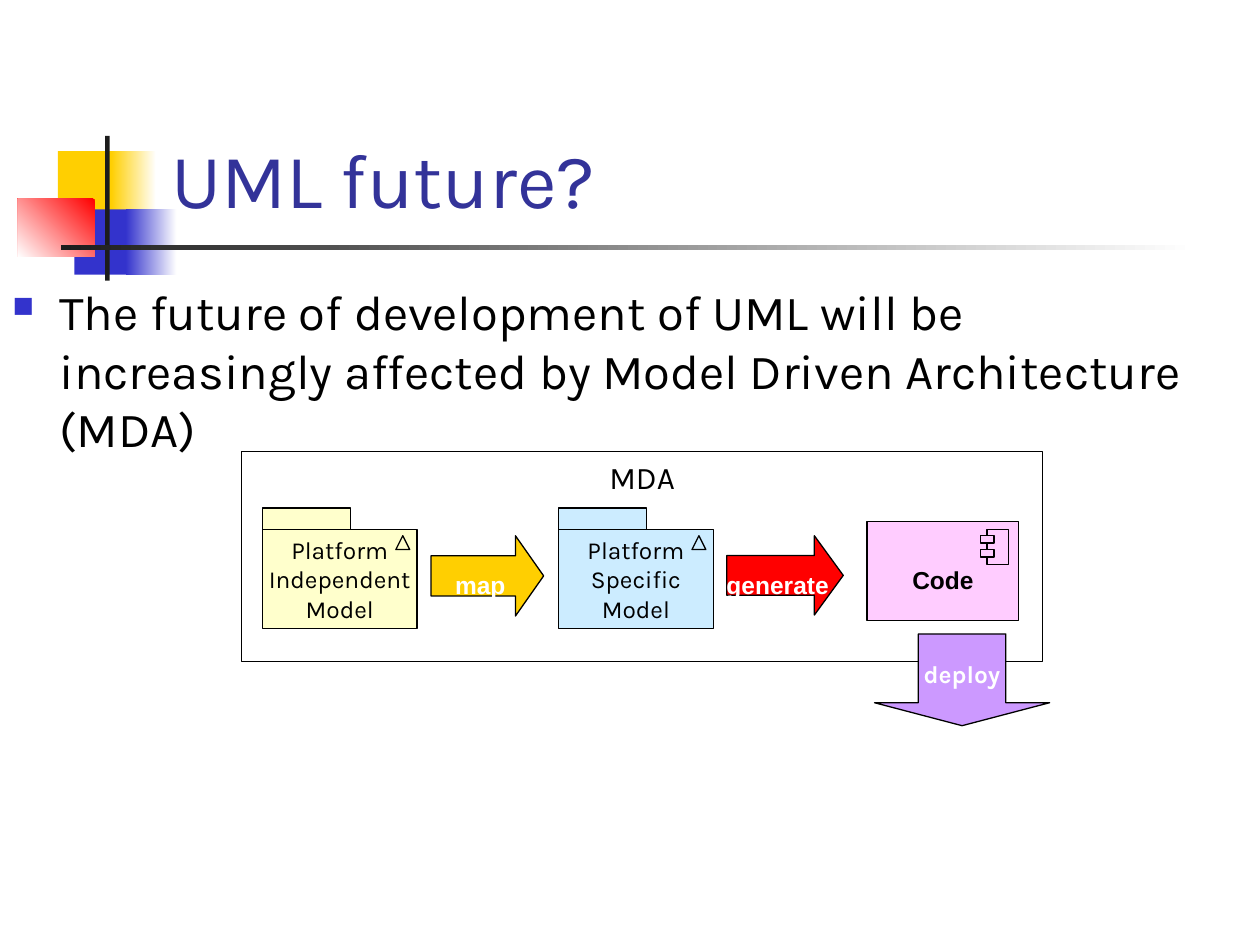
from lxml.etree import SubElement
from pptx import Presentation
from pptx.dml.color import RGBColor
from pptx.enum.shapes import MSO_SHAPE as Kind
from pptx.enum.text import MSO_ANCHOR as Anchor, PP_ALIGN as Align
from pptx.oxml.ns import qn
from pptx.util import Cm, Pt

BLACK, WHITE, DARK = "000000", "FFFFFF", "1C1C1C"
GOLD, BLUE, RED = "FFCF01", "3333CC", "FF0000"
PINK, LILAC = "FFCCFF", "CC99FF"

TITLE = "UML future?"
BODY = ("The future of development of UML will be increasingly affected "
        "by Model Driven Architecture (MDA)")

# box (left, top, width, height in cm), colour, angle of the fade to white
DECOR = [
    ((1.17, 3.05, 1.22, 1.32), GOLD, None),
    ((2.24, 3.05, 0.91, 1.32), GOLD, 0),
    ((1.5, 4.22, 1.17, 1.32), BLUE, None),
    ((2.54, 4.22, 1.02, 1.32), BLUE, 0),
    ((0.36, 4.01, 1.55, 1.17), RED, 225),
    ((2.12, 2.74, 0.09, 2.92), DARK, None),
    ((1.23, 4.94, 22.86, 0.1), DARK, 0),
]
# box, fill, label, adjustments
ARROWS = [
    ((8.69, 10.8, 2.27, 1.62), GOLD, "map", (0.5, 0.351)),
    ((14.65, 10.8, 2.35, 1.6), RED, "generate", (0.5, 0.364)),
]
PACKS = [
    ("FFFFCC", "Platform\nIndependent\nModel"),
    ("CCECFF", "Platform\nSpecific\nModel"),
]
PACK_X, PACK_Y, PACK_STEP = 5.29, 10.24, 5.97
TAB_H = 0.43
CODE = (17.48, 10.51, 3.06, 2)


def rgb(color):
    return RGBColor.from_string(color)


def write(shape, text, size=14, color=BLACK, font="Karla", bold=False,
          align=Align.CENTER, anchor=Anchor.MIDDLE, wrap=False,
          inset=(0.25, 0.13), lead=None, bullet=None):
    frame = shape.text_frame
    frame.word_wrap, frame.vertical_anchor = wrap, anchor
    frame.margin_left = frame.margin_right = Cm(inset[0])
    frame.margin_top = frame.margin_bottom = Cm(inset[1])
    frame.text = text
    for para in frame.paragraphs:
        para.alignment = align
        if lead:
            para.line_spacing = Pt(lead)
        if bullet:
            mark(para, bullet)
        face = para.font
        face.name, face.size, face.bold = font, Pt(size), bold
        face.color.rgb = rgb(color)


def mark(para, color):
    """Give the paragraph a small square bullet and a hanging indent."""
    props = para._p.get_or_add_pPr()
    props.set("marL", str(Cm(0.95)))
    props.set("indent", str(-Cm(0.95)))
    tint = SubElement(props, qn("a:buClr"))
    SubElement(tint, qn("a:srgbClr"), val=color)
    SubElement(props, qn("a:buSzPct"), val="60000")
    SubElement(props, qn("a:buChar"), char="■")


def draw(shapes, box, fill=None, kind=Kind.RECTANGLE, line=BLACK, adjust=()):
    shape = shapes.add_shape(kind, *map(Cm, box))
    shape.shadow.inherit = False
    for i, value in enumerate(adjust):
        shape.adjustments[i] = value
    if fill:
        shape.fill.solid()
        shape.fill.fore_color.rgb = rgb(fill)
    else:
        shape.fill.background()
    if line:
        shape.line.color.rgb = rgb(line)
        shape.line.width = Pt(0.75)
    else:
        shape.line.fill.background()
    return shape


def fade(shape, color, angle):
    shape.fill.gradient()
    shape.fill.gradient_angle = angle
    for stop, tone in zip(shape.fill.gradient_stops, (color, WHITE)):
        stop.color.rgb = rgb(tone)


def pack(shapes, x, y, fill, label):
    """Draw a UML package with the model triangle."""
    group = shapes.add_group_shape().shapes
    draw(group, (x, y, 1.78, TAB_H), fill)
    body = draw(group, (x, y + TAB_H, 3.12, 2), fill)
    write(body, label)
    draw(group, (x + 2.69, y + 0.56, 0.28, 0.28), fill,
         Kind.ISOSCELES_TRIANGLE)


def icon(shapes, x, y, fill):
    """Draw the UML component sign."""
    group = shapes.add_group_shape().shapes
    draw(group, (x + 0.14, y, 0.43, 0.71), fill)
    for drop in (0.13, 0.41):
        draw(group, (x, y + drop, 0.28, 0.15), fill)


def main():
    deck = Presentation()
    deck.slide_width, deck.slide_height = Cm(25.4), Cm(19.05)
    shapes = deck.slides.add_slide(deck.slide_layouts[6]).shapes

    for box, color, angle in DECOR:
        shape = draw(shapes, box, color, line=None)
        if angle is not None:
            fade(shape, color, angle)

    title = shapes.add_textbox(Cm(3.2), Cm(0.58), Cm(21.64), Cm(4.06))
    write(title, TITLE, size=44, color="333399", align=Align.LEFT,
          anchor=Anchor.BOTTOM, wrap=True)
    body = shapes.add_textbox(Cm(0), Cm(5.54), Cm(25.4), Cm(11.51))
    write(body, BODY, size=28, align=Align.LEFT, anchor=Anchor.TOP,
          wrap=True, bullet=BLUE)

    frame = draw(shapes, (4.87, 9.1, 16.15, 4.24))
    write(frame, "MDA", size=18, anchor=Anchor.TOP)

    tight = dict(font="Arial", bold=True, inset=(0, 0), lead=27.2)
    write(draw(shapes, CODE, PINK), "Code", **tight)
    for box, fill, label, adjust in ARROWS:
        arrow = draw(shapes, box, fill, Kind.RIGHT_ARROW, adjust=adjust)
        write(arrow, label, color=WHITE, **tight)
    deploy = draw(shapes, (17.63, 12.78, 3.53, 1.85), LILAC,
                  Kind.DOWN_ARROW, adjust=(0.5, 0.25))
    write(deploy, "deploy", color=WHITE, bold=True)

    for i, (fill, label) in enumerate(PACKS):
        pack(shapes, PACK_X + i * PACK_STEP, PACK_Y, fill, label)
    icon(shapes, 19.76, 10.67, PINK)

    deck.save("out.pptx")


if __name__ == "__main__":
    main()
